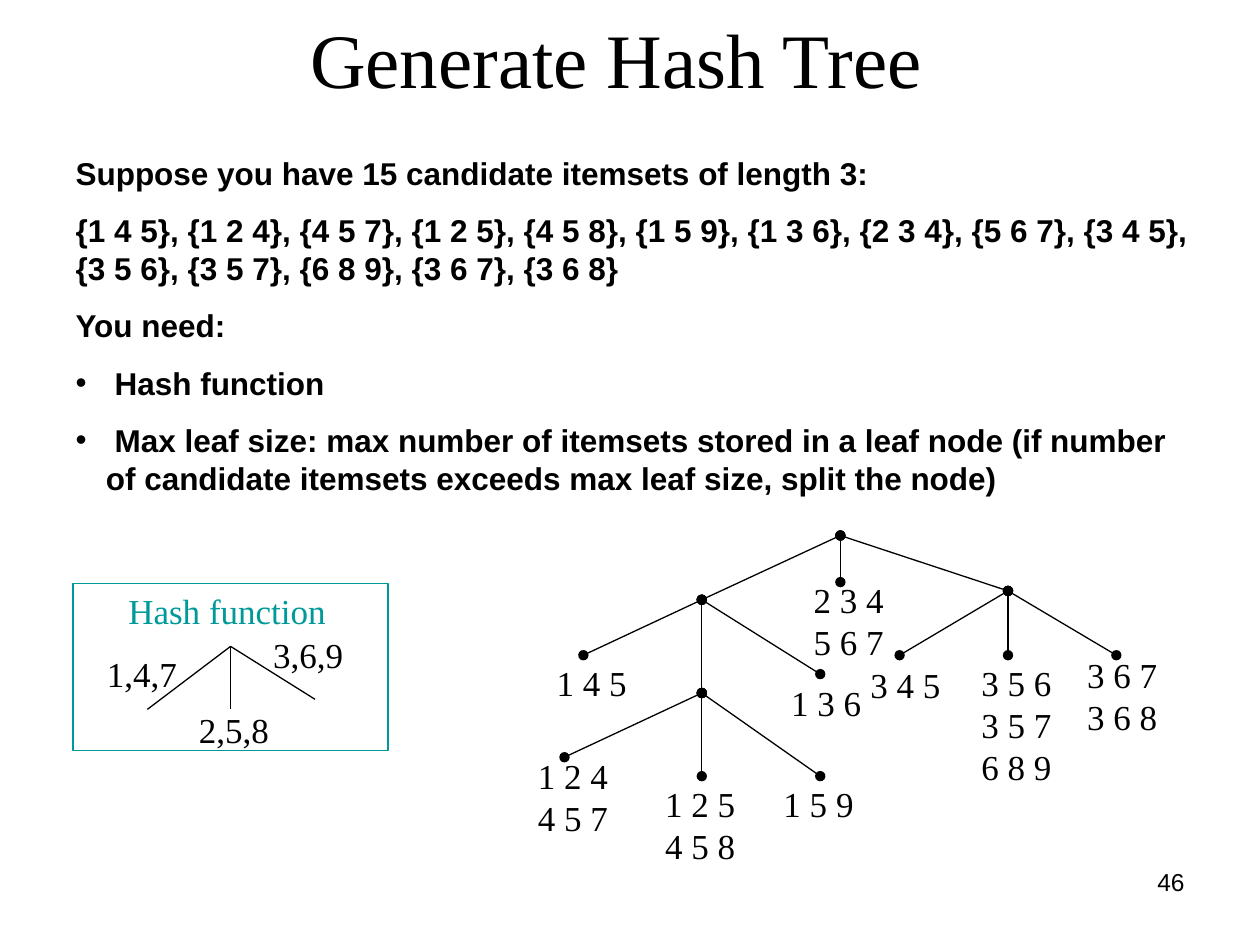
from pptx import Presentation
from pptx.dml.color import RGBColor
from pptx.enum.shapes import MSO_CONNECTOR, MSO_SHAPE
from pptx.enum.text import MSO_ANCHOR, MSO_AUTO_SIZE, PP_ALIGN
from pptx.oxml.ns import qn
from pptx.util import Inches, Pt
from lxml import etree

STRAIGHT = MSO_CONNECTOR.STRAIGHT
RECTANGLE = MSO_SHAPE.RECTANGLE
MIDDLE, TOP = MSO_ANCHOR.MIDDLE, MSO_ANCHOR.TOP
CENTER, LEFT, RIGHT = PP_ALIGN.CENTER, PP_ALIGN.LEFT, PP_ALIGN.RIGHT
NO_AUTOFIT = MSO_AUTO_SIZE.NONE
FIT_SHAPE = MSO_AUTO_SIZE.SHAPE_TO_FIT_TEXT

BLACK = RGBColor(0x00, 0x00, 0x00)
TEAL = RGBColor(0x00, 0x99, 0x99)
SERIF, SANS = "Times New Roman", "Arial"
LINE_WIDTH = Pt(0.74)

STATEMENTS = [
    "Suppose you have 15 candidate itemsets of length 3:",
    "{1 4 5}, {1 2 4}, {4 5 7}, {1 2 5}, {4 5 8}, {1 5 9}, {1 3 6}, {2 3 4}, "
    "{5 6 7}, {3 4 5}, {3 5 6}, {3 5 7}, {6 8 9}, {3 6 7}, {3 6 8}",
    "You need:",
]
NEEDS = [
    " Hash function",
    " Max leaf size: max number of itemsets stored in a leaf node (if number of "
    "candidate itemsets exceeds max leaf size, split the node)",
]

TREE_BRANCHES = [
    ((2.5, 0), [(1.4, 0.51), (2.5, 0.37), (3.83, 0.44)]),
    ((1.4, 0.51), [(0.46, 0.95), (1.4, 1.25), (2.34, 1.1)]),
    ((1.4, 1.25), [(0.31, 1.76), (1.4, 1.91), (2.34, 1.91)]),
    ((3.83, 0.44), [(2.97, 0.95), (3.83, 0.95), (4.69, 0.95)]),
]
TREE_LEAVES = [
    (2.19, 0.29, ["2 3 4", "5 6 7"]),
    (0.15, 0.95, ["1 4 5"]),
    (2.01, 1.11, ["1 3 6"]),
    (0, 1.69, ["1 2 4", "4 5 7"]),
    (1.01, 1.91, ["1 2 5", "4 5 8"]),
    (1.95, 1.91, ["1 5 9"]),
    (2.64, 0.97, ["3 4 5"]),
    (3.52, 0.95, ["3 5 6", "3 5 7", "6 8 9"]),
    (4.36, 0.89, ["3 6 7", "3 6 8"]),
]
HASH_ROOT = (1.25, 0.5)
HASH_ENDS = [(0.59, 1), (1.25, 1), (1.92, 0.92)]
HASH_LABELS = [(0.17, 0.5, "1,4,7"), (0.9, 0.94, "2,5,8"), (1.49, 0.35, "3,6,9")]


def place(shape, left, top, width, height):
    shape.left, shape.top = Inches(left), Inches(top)
    shape.width, shape.height = Inches(width), Inches(height)


def style(para, font_name, size, color=BLACK, align=LEFT, bold=False):
    para.alignment = align
    para.font.name = font_name
    para.font.size = Pt(size)
    para.font.color.rgb = color
    para.font.bold = bold


def add_label(page, left, top, lines, width=0.76, color=BLACK):
    height = 0.11 + 0.33 * len(lines)
    box = page.shapes.add_textbox(
        Inches(left), Inches(top), Inches(width), Inches(height))
    frame = box.text_frame
    frame.word_wrap = False
    frame.auto_size = FIT_SHAPE
    frame.text = "\n".join(lines)
    for para in frame.paragraphs:
        style(para, SERIF, 20, color)


def add_branch(page, left, top, start, end, dots=False):
    branch = page.shapes.add_connector(
        STRAIGHT, Inches(left + start[0]), Inches(top + start[1]),
        Inches(left + end[0]), Inches(top + end[1]))
    branch.line.color.rgb = BLACK
    branch.line.width = LINE_WIDTH
    if dots:
        outline = branch.line._get_or_add_ln()
        for tag in ("a:headEnd", "a:tailEnd"):
            etree.SubElement(outline, qn(tag), type="oval")
    etree.SubElement(branch._element.spPr, qn("a:effectLst"))


def set_bullet(para, indent, char=None):
    properties = para._p.get_or_add_pPr()
    properties.set("marL", str(Inches(indent)))
    properties.set("indent", str(-Inches(indent)))
    if char:
        etree.SubElement(properties, qn("a:buFont"), typeface=SANS)
        etree.SubElement(properties, qn("a:buChar"), char=char)
    else:
        etree.SubElement(properties, qn("a:buNone"))


def fill_title(page, left, top, width, height):
    title = page.shapes.title
    place(title, left, top, width, height)
    frame = title.text_frame
    frame.text = "Generate Hash Tree"
    frame.auto_size = NO_AUTOFIT
    frame.vertical_anchor = MIDDLE
    style(frame.paragraphs[0], SERIF, 44, align=CENTER)


def fill_body(page, left, top, width, height):
    body = page.placeholders[1]
    place(body, left, top, width, height)
    frame = body.text_frame
    frame.text = "\n".join(STATEMENTS + NEEDS)
    frame.auto_size = NO_AUTOFIT
    frame.vertical_anchor = TOP
    for index, para in enumerate(frame.paragraphs):
        para.space_before = Pt(11.2)
        if index < len(STATEMENTS):
            set_bullet(para, 0)
        else:
            set_bullet(para, 0.24, "•")
        style(para, SANS, 18, bold=True)


def add_hash_tree(page, left, top):
    for parent, children in TREE_BRANCHES:
        for child in children:
            add_branch(page, left, top, parent, child, dots=True)
    for x, y, itemsets in TREE_LEAVES:
        add_label(page, left + x, top + y, itemsets)


def add_hash_function(page, left, top, width, height):
    for end in HASH_ENDS:
        add_branch(page, left, top, HASH_ROOT, end)
    for x, y, text in HASH_LABELS:
        add_label(page, left + x, top + y, [text])
    add_label(page, left + 0.34, top, ["Hash function"], 1.77, TEAL)
    border = page.shapes.add_shape(
        RECTANGLE, Inches(left), Inches(top), Inches(width), Inches(height))
    border.shadow.inherit = False
    border.fill.background()
    border.line.color.rgb = TEAL
    border.line.width = LINE_WIDTH


def add_page_number(page, left, top, width, height):
    box = page.shapes.add_textbox(
        Inches(left), Inches(top), Inches(width), Inches(height))
    frame = box.text_frame
    frame.word_wrap = True
    frame.text = "46"
    style(frame.paragraphs[0], SANS, 14, align=RIGHT)


deck = Presentation()
deck.slide_width, deck.slide_height = Inches(10), Inches(7.5)
page = deck.slides.add_slide(deck.slide_layouts[1])
fill_title(page, 0.36, 0.17, 9.06, 0.58)
fill_body(page, 0.5, 1.17, 9.08, 2.83)
add_hash_tree(page, 4.17, 4.25)
add_hash_function(page, 0.58, 4.63, 2.5, 1.33)
add_page_number(page, 7.17, 6.83, 2.33, 0.52)
deck.save("out.pptx")
